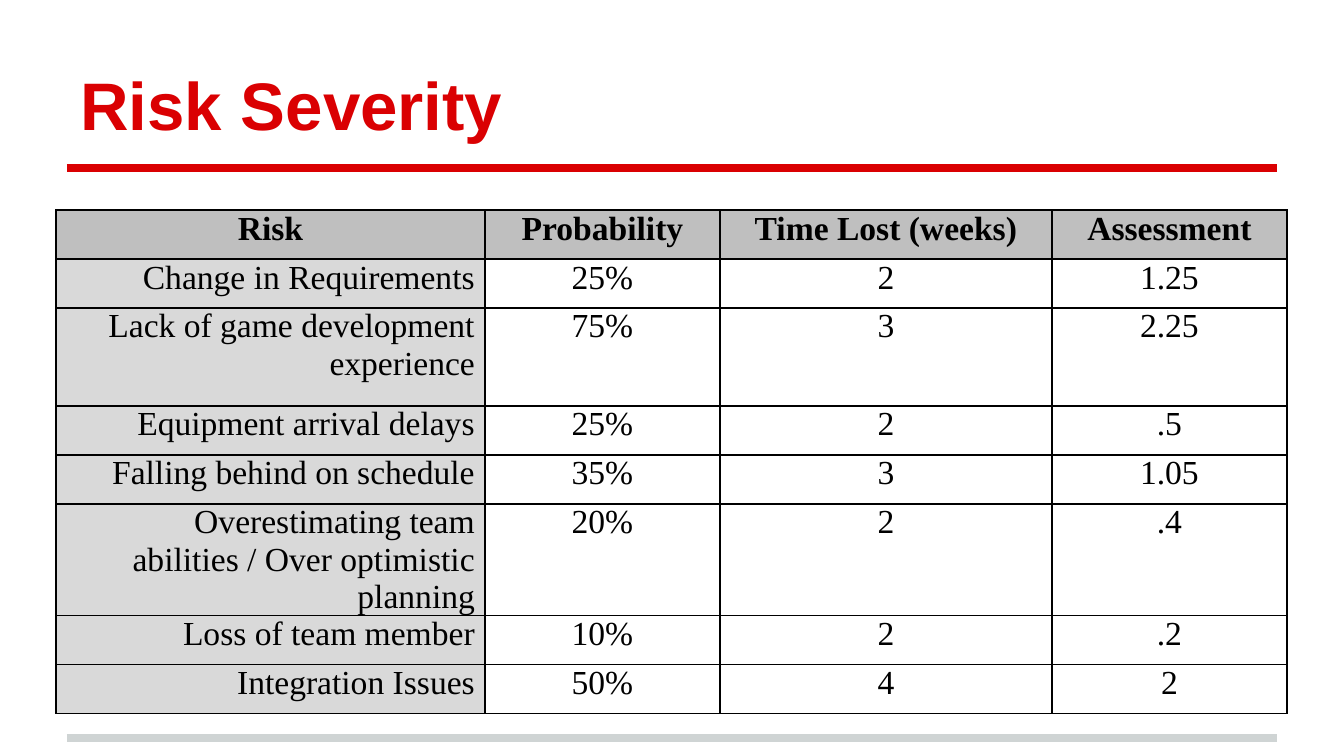
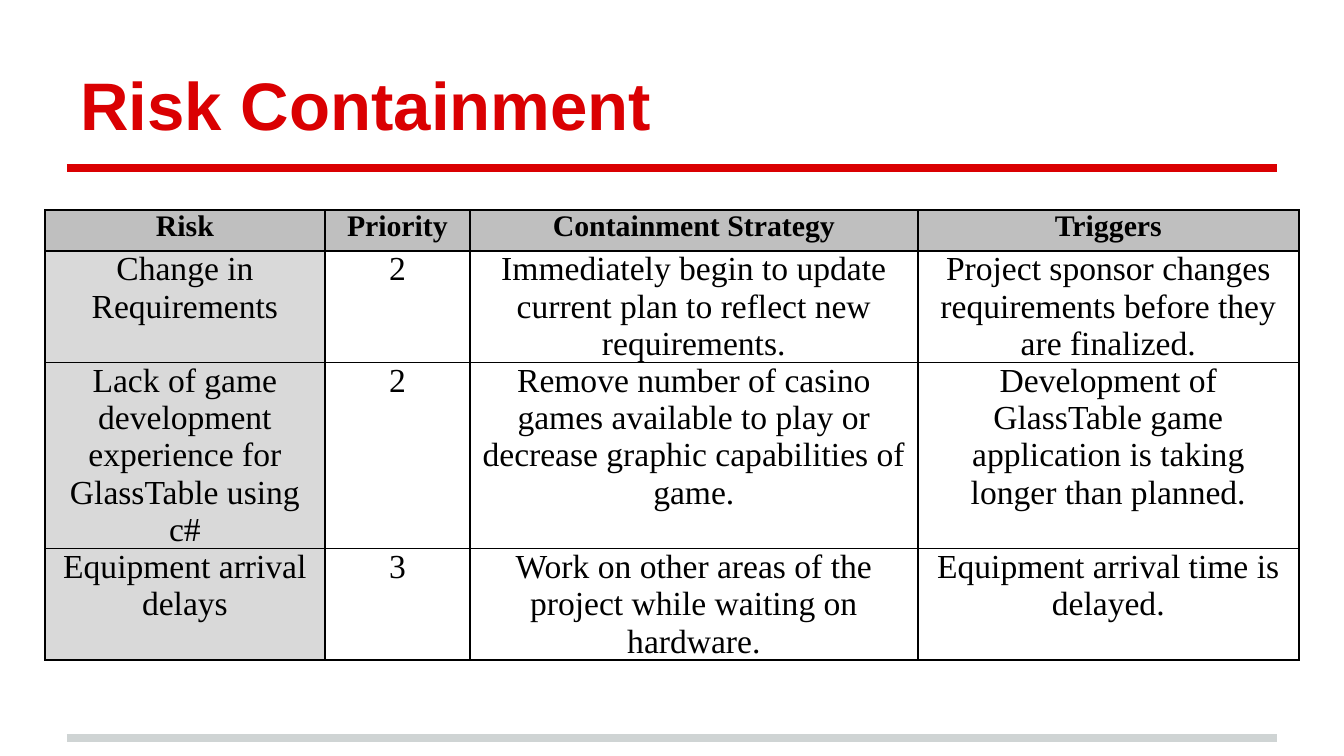
from lxml.etree import SubElement
from pptx import Presentation
from pptx.dml.color import RGBColor
from pptx.enum.shapes import MSO_CONNECTOR
from pptx.enum.text import MSO_ANCHOR, MSO_AUTO_SIZE, PP_ALIGN
from pptx.oxml.ns import qn
from pptx.util import Pt

RED, SILVER, BLACK = "DA0002", "CFD4D4", "000000"
HEADER_GREY, LABEL_GREY = "BFBFBF", "D9D9D9"
TITLE_FONT, TABLE_FONT = "Arial", "Times New Roman"
PAGE_WIDTH, PAGE_HEIGHT = 1344, 756
MARGIN, TITLE_TOP, TITLE_HEIGHT, TABLE_TOP = 67, 31, 126, 210
RULES = [(738, SILVER), (168, RED)]

SLIDES = [
    {
        "title": "Risk Severity",
        "left": 56,
        "columns": [429, 235, 332, 235],
        "heights": [49, 49, 98, 49, 49, 98, 49, 49],
        "inset": 10,
        "header_size": 18,
        "label_align": PP_ALIGN.RIGHT,
        "rows": [
            ("Risk", "Probability", "Time Lost (weeks)", "Assessment"),
            ("Change in Requirements", "25%", "2", "1.25"),
            ("Lack of game development experience", "75%", "3", "2.25"),
            ("Equipment arrival delays", "25%", "2", ".5"),
            ("Falling behind on schedule", "35%", "3", "1.05"),
            ("Overestimating team abilities / Over optimistic planning", "20%", "2", ".4"),
            ("Loss of team member", "10%", "2", ".2"),
            ("Integration Issues", "50%", "4", "2"),
        ],
    },
    {
        "title": "Risk Containment",
        "left": 45,
        "columns": [280, 145, 448, 381],
        "heights": [41, 82, 103, 62],
        "inset": 8,
        "header_size": 16,
        "label_align": PP_ALIGN.CENTER,
        "rows": [
            ("Risk", "Priority", "Containment Strategy", "Triggers"),
            ("Change in Requirements", "2",
             "Immediately begin to update current plan to reflect new requirements.",
             "Project sponsor changes requirements before they are finalized."),
            ("Lack of game development experience for GlassTable using c#", "2",
             "Remove number of casino games available to play or decrease graphic capabilities of game.",
             "Development of GlassTable game application is taking longer than planned."),
            ("Equipment arrival delays", "3",
             "Work on other areas of the project while waiting on hardware.",
             "Equipment arrival time is delayed."),
        ],
    },
]


def px(pixels):
    return round(pixels * 914400 / 134.4)


def color(value):
    return RGBColor.from_string(value)


def style(paragraph, font, size, ink, bold, align):
    paragraph.alignment = align
    for run in paragraph.runs:
        run.font.name = font
        run.font.size = Pt(size)
        run.font.bold = bold
        run.font.color.rgb = color(ink)


def add_rule(slide, y, ink):
    rule = slide.shapes.add_connector(
        MSO_CONNECTOR.STRAIGHT, px(MARGIN), px(y), px(PAGE_WIDTH - MARGIN), px(y))
    rule.line.color.rgb = color(ink)
    rule.line.width = Pt(4)
    SubElement(rule.element.spPr, qn("a:effectLst"))


def set_title(slide, text):
    title = slide.shapes.title
    title.left, title.top = px(MARGIN), px(TITLE_TOP)
    title.width, title.height = px(PAGE_WIDTH - 2 * MARGIN), px(TITLE_HEIGHT)
    frame = title.text_frame
    frame.text = text
    frame.auto_size = MSO_AUTO_SIZE.NONE
    frame.word_wrap = True
    frame.vertical_anchor = MSO_ANCHOR.BOTTOM
    frame.margin_left = frame.margin_right = px(13.44)
    frame.margin_top = frame.margin_bottom = px(13.44)
    style(frame.paragraphs[0], TITLE_FONT, 36, RED, True, PP_ALIGN.LEFT)


def add_borders(cell):
    properties = cell._tc.get_or_add_tcPr()
    for side in ("lnL", "lnR", "lnT", "lnB"):
        border = SubElement(properties, qn("a:" + side), w=str(Pt(1)))
        fill = SubElement(border, qn("a:solidFill"))
        SubElement(fill, qn("a:srgbClr"), val=BLACK)


def fill_cell(cell, text, row, column, content):
    header, label = row == 0, column == 0
    cell.text = text
    cell.margin_left = cell.margin_right = px(content["inset"])
    cell.margin_top = cell.margin_bottom = 0
    cell.vertical_anchor = MSO_ANCHOR.TOP
    add_borders(cell)
    if header or label:
        cell.fill.solid()
        cell.fill.fore_color.rgb = color(HEADER_GREY if header else LABEL_GREY)
    else:
        cell.fill.background()
    align = content["label_align"] if label and not header else PP_ALIGN.CENTER
    size = content["header_size"] if header else 18
    style(cell.text_frame.paragraphs[0], TABLE_FONT, size, BLACK, header, align)


def add_risk_table(slide, content):
    rows, columns, heights = content["rows"], content["columns"], content["heights"]
    table = slide.shapes.add_table(
        len(rows), len(columns), px(content["left"]), px(TABLE_TOP),
        px(sum(columns)), px(sum(heights))).table
    table.first_row = table.horz_banding = False
    for column, width in zip(table.columns, columns):
        column.width = px(width)
    for row, height in zip(table.rows, heights):
        row.height = px(height)
    for r, texts in enumerate(rows):
        for c, text in enumerate(texts):
            fill_cell(table.cell(r, c), text, r, c, content)


deck = Presentation()
deck.slide_width, deck.slide_height = px(PAGE_WIDTH), px(PAGE_HEIGHT)
for content in SLIDES:
    slide = deck.slides.add_slide(deck.slide_layouts.get_by_name("Title Only"))
    for y, ink in RULES:
        add_rule(slide, y, ink)
    set_title(slide, content["title"])
    add_risk_table(slide, content)
deck.save("out.pptx")
